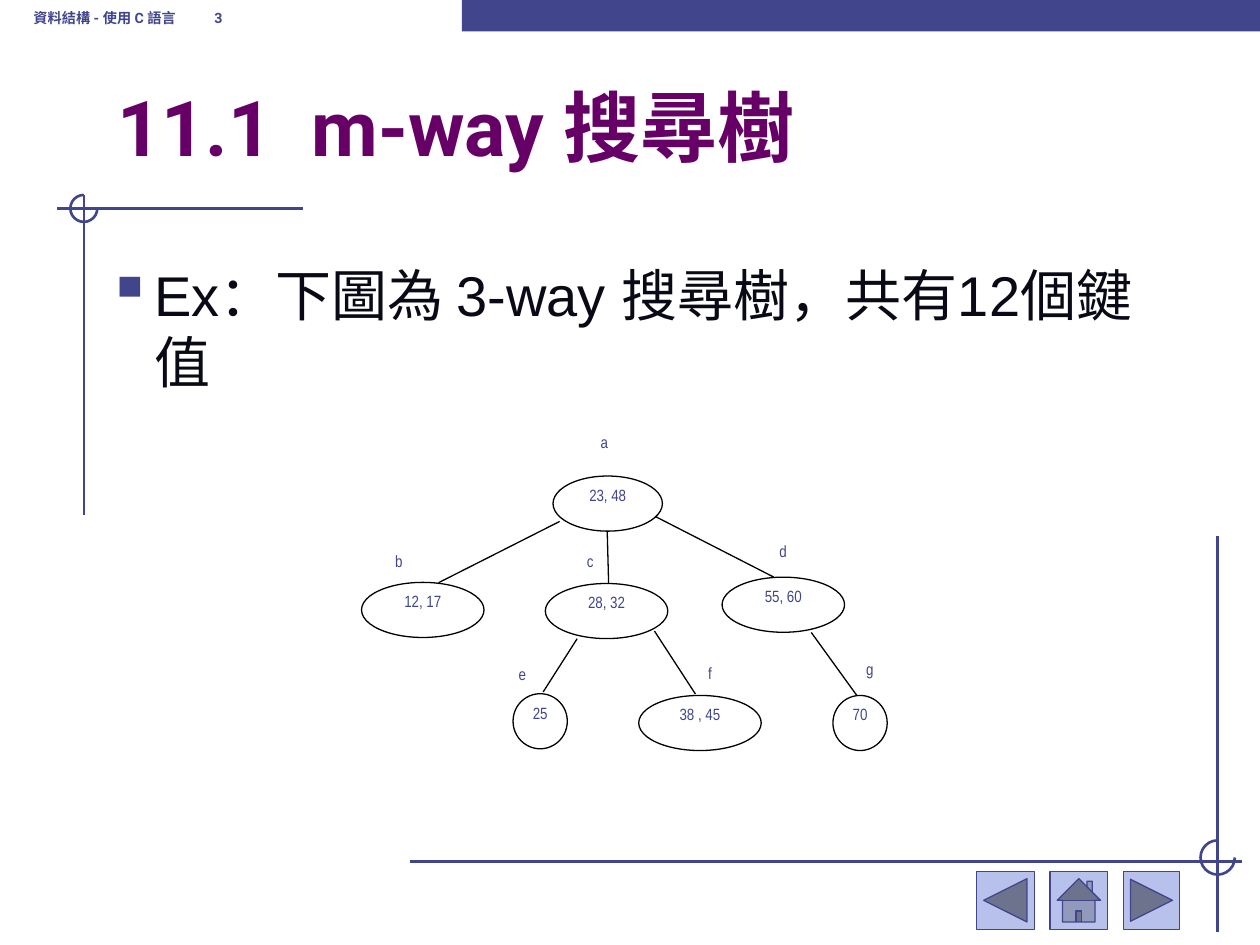
from dataclasses import dataclass

from lxml import etree
from pptx import Presentation
from pptx.dml.color import RGBColor
from pptx.enum.shapes import MSO_CONNECTOR, MSO_SHAPE
from pptx.enum.text import MSO_ANCHOR, MSO_AUTO_SIZE, PP_ALIGN
from pptx.oxml.ns import qn
from pptx.util import Pt

STRAIGHT = MSO_CONNECTOR.STRAIGHT
RECTANGLE, OVAL, ARC = MSO_SHAPE.RECTANGLE, MSO_SHAPE.OVAL, MSO_SHAPE.ARC
BACK = MSO_SHAPE.ACTION_BUTTON_BACK_OR_PREVIOUS
HOME = MSO_SHAPE.ACTION_BUTTON_HOME
NEXT = MSO_SHAPE.ACTION_BUTTON_FORWARD_OR_NEXT
TOP, BOTTOM = MSO_ANCHOR.TOP, MSO_ANCHOR.BOTTOM
LEFT, CENTER = PP_ALIGN.LEFT, PP_ALIGN.CENTER
NO_AUTOFIT = MSO_AUTO_SIZE.NONE


@dataclass(frozen=True)
class Theme:
    indigo: str = "40458C"
    button: str = "B7C1EB"
    title: str = "660066"
    body: str = "090A15"
    edge: str = "000000"
    heading_font: str = "Roboto"
    body_font: str = "Arial"
    node_font: str = "Arial Narrow"
    header_size: int = 14
    title_size: int = 44
    body_size: int = 32
    node_size: int = 16
    rule_width: float = 1.5
    thin_width: float = 0.75


class SlideBuilder:
    def __init__(self, slide, theme):
        self.slide = slide
        self.theme = theme

    def line(self, start, end, color, width):
        connector = self.slide.shapes.add_connector(
            STRAIGHT, *(Pt(v) for v in (*start, *end)))
        connector.line.color.rgb = RGBColor.from_string(color)
        connector.line.width = Pt(width)
        etree.SubElement(connector._element.spPr, qn("a:effectLst"))

    def shape(self, kind, box, fill=None, line=None, width=0.75):
        shape = self.slide.shapes.add_shape(kind, *(Pt(v) for v in box))
        shape.shadow.inherit = False
        if fill:
            shape.fill.solid()
            shape.fill.fore_color.rgb = RGBColor.from_string(fill)
        else:
            shape.fill.background()
        if line:
            shape.line.color.rgb = RGBColor.from_string(line)
            shape.line.width = Pt(width)
        else:
            shape.line.fill.background()
        return shape

    def corner_arc(self, box):
        """Three quarters of a circle, open at the upper right."""
        arc = self.shape(ARC, box, line=self.theme.indigo,
                         width=self.theme.rule_width)
        arc.adjustments[0] = 0
        arc.adjustments[1] = 162  # 270 degrees

    def set_text(self, frame, text, font, size, color, bold=False,
                 align=LEFT, anchor=TOP, raised=False):
        frame.word_wrap = True
        frame.auto_size = NO_AUTOFIT
        frame.vertical_anchor = anchor
        frame.text = text
        paragraph = frame.paragraphs[0]
        paragraph.alignment = align
        for run in paragraph.runs:
            run.font.name = font
            run.font.size = Pt(size)
            run.font.bold = bold
            run.font.color.rgb = RGBColor.from_string(color)
            if raised:
                run._r.get_or_add_rPr().set("baseline", "30000")
        return paragraph

    def tab_stop(self, paragraph, position):
        tabs = etree.SubElement(paragraph._p.get_or_add_pPr(), qn("a:tabLst"))
        etree.SubElement(tabs, qn("a:tab"), pos=str(Pt(position)), algn="l")

    def header(self, text, box, tab):
        t = self.theme
        frame = self.slide.shapes.add_textbox(*(Pt(v) for v in box)).text_frame
        paragraph = self.set_text(frame, text, t.heading_font, t.header_size,
                                  t.indigo, bold=True, anchor=BOTTOM, raised=True)
        self.tab_stop(paragraph, tab)

    def title(self, text, box, tab):
        t = self.theme
        title = self.slide.shapes.title
        title.left, title.top, title.width, title.height = (Pt(v) for v in box)
        paragraph = self.set_text(title.text_frame, text, t.heading_font,
                                  t.title_size, t.title, bold=True, anchor=BOTTOM)
        self.tab_stop(paragraph, tab)

    def bullet(self, text, box, indent=27):
        t = self.theme
        frame = self.slide.shapes.add_textbox(*(Pt(v) for v in box)).text_frame
        paragraph = self.set_text(frame, text, t.body_font, t.body_size, t.body)
        props = paragraph._p.get_or_add_pPr()
        props.set("marL", str(Pt(indent)))
        props.set("indent", str(-Pt(indent)))
        color = etree.SubElement(props, qn("a:buClr"))
        etree.SubElement(color, qn("a:srgbClr"), val=t.indigo)
        etree.SubElement(props, qn("a:buSzPct"), val="110000")
        etree.SubElement(props, qn("a:buChar"), char="▪")

    def tree_text(self, text, box, line=None):
        t = self.theme
        oval = self.shape(OVAL, box, line=line, width=t.thin_width)
        frame = oval.text_frame
        frame.margin_left = frame.margin_right = 0
        frame.margin_top = frame.margin_bottom = 0
        paragraph = self.set_text(frame, text, t.node_font, t.node_size, t.indigo,
                                  align=CENTER, raised=True)
        paragraph.line_spacing = 0.96


NODE_HEIGHT, LABEL_WIDTH = 31.5, 31
# label, label position, keys, node position, node width
NODES = [
    ("a", (329.8, 242), "23, 48", (316, 272), 62.5),
    ("b", (212.4, 309.6), "12, 17", (206.6, 332.8), 70),
    ("c", (321.8, 309.6), "28, 32", (311.6, 333.4), 70),
    ("d", (432, 304), "55, 60", (412.6, 329.8), 70),
    ("e", (283, 374.6), "25", (293.2, 396.4), 31),
    ("f", (390.2, 373.6), "38 , 45", (365, 397.4), 70),
    ("g", (481.6, 371.4), "70", (476, 397.4), 31),
]
BRANCHES = [
    ((319.8, 298), (250.6, 333)),
    ((347, 303.8), (347.8, 333.4)),
    ((374.6, 295.2), (442.2, 329.8)),
    ((329.8, 365), (310.4, 395.4)),
    ((374, 360.6), (397.4, 396.6)),
    ((463.6, 361.4), (489.6, 397.4)),
]


def main():
    theme = Theme()
    deck = Presentation()
    deck.slide_width, deck.slide_height = Pt(720), Pt(540)
    title_only = deck.slide_layouts[5]
    page = SlideBuilder(deck.slides.add_slide(title_only), theme)

    # Corner rules and top band
    for start, end in [((173, 119.2), (32.6, 119.2)), ((48, 111.5), (48, 294.5)),
                       ((234, 492.2), (709.8, 492.2)), ((695.6, 306), (695.6, 532.6))]:
        page.line(start, end, theme.indigo, theme.rule_width)
    page.corner_arc((40.2, 111.4, 15.4, 15.4))
    page.corner_arc((686, 480.2, 19.6, 19.6))
    page.shape(RECTANGLE, (264, 0, 456, 18), fill=theme.indigo)

    # Navigation buttons
    for kind, left, width in [(BACK, 558, 33), (HOME, 600, 33), (NEXT, 642, 32)]:
        page.shape(kind, (left, 498, width, 33), fill=theme.button,
                   line=theme.indigo, width=theme.thin_width)

    # Running header, title and statement
    page.header("資料結構 - 使用 C 語言\t3", (12, -12, 222, 36), tab=103.5)
    page.title("11.1\tm-way 搜尋樹", (60, 42, 612, 60), tab=111)
    page.bullet("Ex：下圖為 3-way 搜尋樹，共有12個鍵值", (54, 145.4, 605.6, 293))

    # Search tree
    for label, label_at, keys, node_at, width in NODES:
        page.tree_text(label, (*label_at, LABEL_WIDTH, NODE_HEIGHT))
        page.tree_text(keys, (*node_at, width, NODE_HEIGHT), line=theme.edge)
    for start, end in BRANCHES:
        page.line(start, end, theme.edge, theme.thin_width)

    deck.save("out.pptx")


if __name__ == "__main__":
    main()
